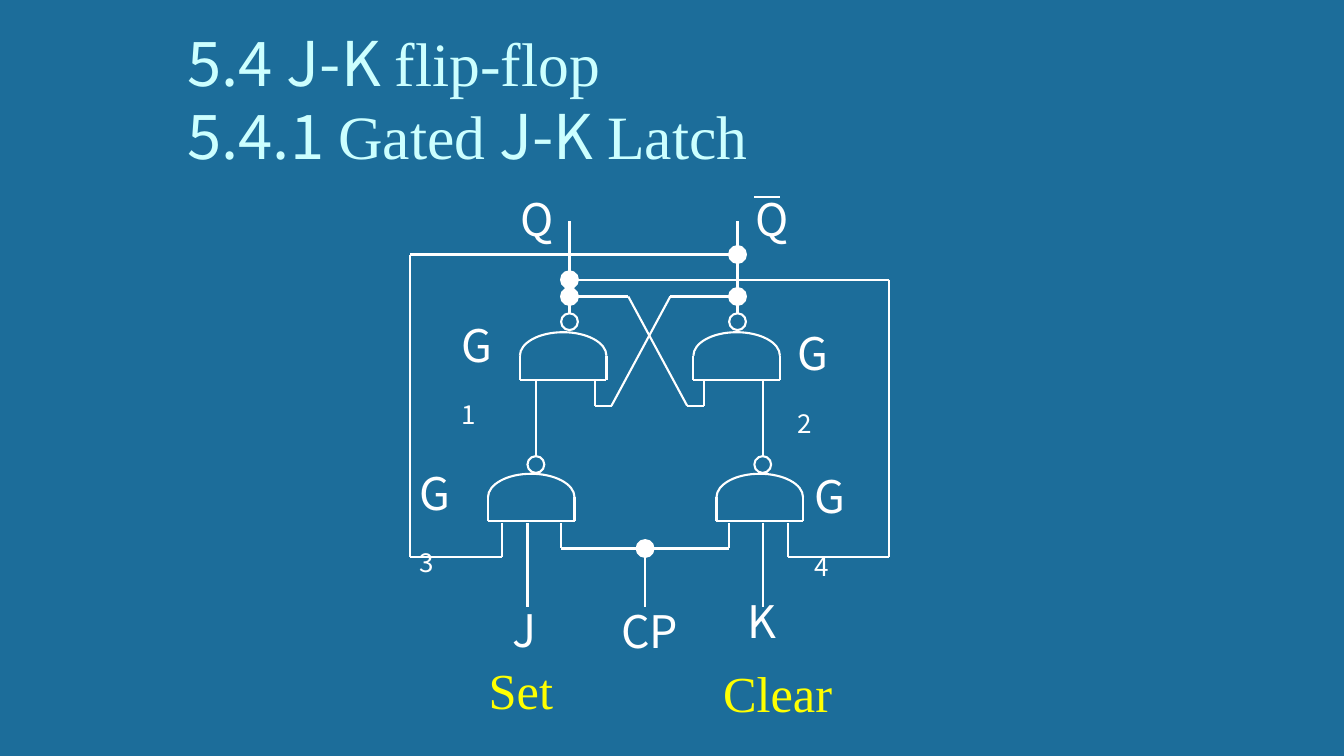
from lxml import etree
from pptx import Presentation
from pptx.dml.color import RGBColor
from pptx.enum.shapes import MSO_CONNECTOR, MSO_SHAPE
from pptx.enum.text import MSO_ANCHOR
from pptx.oxml.ns import qn
from pptx.util import Inches, Pt

BLUE = RGBColor(0x1C, 0x6D, 0x9A)
WHITE = RGBColor(0xFF, 0xFF, 0xFF)
ICE = RGBColor(0xCC, 0xFF, 0xFF)
YELLOW = RGBColor(0xFF, 0xFF, 0x00)
STRAIGHT = MSO_CONNECTOR.STRAIGHT
OVAL = MSO_SHAPE.OVAL
TOP, BOTTOM = MSO_ANCHOR.TOP, MSO_ANCHOR.BOTTOM
SANS, SERIF = "Noto Sans CJK SC", "Times New Roman"

TITLE = [
    [("5.4 J-K ", SANS), ("flip-flop", SERIF)],
    [("5.4.1 ", SANS), ("Gated", SERIF), (" J-K ", SANS), ("Latch", SERIF)],
]
WIRES = {
    "left feedback": [(39, 0), (0, 0), (0, 36), (11, 36), (11, 34)],
    "right feedback": [(19, 3), (57, 3), (57, 36), (45, 36), (45, 34)],
    "cross to right": [(19, 5), (26, 5), (33, 18), (35, 18)],
    "cross to left": [(39, 5), (31, 5), (24, 18), (22, 18)],
    "clock bus": [(18, 35), (38, 35)],
    "clock input": [(28, 35), (28, 42)],
    "set input": [(14, 32), (14, 42)],
    "clear input": [(42, 32), (42, 42)],
    "overbar": [(41, -6.9), (44, -6.9)],
}
JUNCTIONS = [(19, 3), (39, 0), (28, 35), (39, 5), (19, 5)]
GATES = [
    ((19, 8), 11, (13.1, 9.25)),
    ((39, 8), 11, (33.75, 9.25)),
    ((15, 25), 7, (9.3, 26.1)),
    ((42, 25), 7, (36.5, 26.1)),
]
SIGNALS = [("Q", 40, -8), ("Q", 12, -8), ("J", 11, 40.9), ("K", 39, 39.9)]
GATE_NAMES = [("1", 5, 6.9), ("2", 45, 7.9), ("3", 0, 24.5), ("4", 47, 24.9)]
CAPTIONS = [("Set", 8.2, 47.6, 13.2), ("Clear", 36.1, 48, 15.5)]


class Diagram:
    """Draws circuit elements on a slide in twelfth-inch columns and rows."""

    cell = Inches(1) / 12
    left, top = Inches(4.065), Inches(2.525)
    stroke = {"width": Pt(1.5)}
    line_height = 1.19

    def __init__(self, page):
        self.page = page
        page.background.fill.solid()
        page.background.fill.fore_color.rgb = BLUE

    def column(self, number):
        return round(self.left + number * self.cell)

    def row(self, number):
        return round(self.top + number * self.cell)

    def size(self, cells):
        return round(cells * self.cell)

    def apply(self, target, values):
        for name, value in values.items():
            setattr(target, name, value)

    def outline(self, shape):
        shape.line.color.rgb = WHITE
        self.apply(shape.line, self.stroke)

    def wire(self, points):
        for (x1, y1), (x2, y2) in zip(points, points[1:]):
            line = self.page.shapes.add_connector(
                STRAIGHT, self.column(x1), self.row(y1), self.column(x2), self.row(y2))
            self.outline(line)
            etree.SubElement(line._element.spPr, qn("a:effectLst"))

    def circle(self, x, y, filled):
        dot = self.page.shapes.add_shape(
            OVAL, self.column(x - 1), self.row(y - 1), self.size(2), self.size(2))
        dot.shadow.inherit = False
        if filled:
            dot.fill.solid()
            dot.fill.fore_color.rgb = WHITE
        else:
            dot.fill.background()
        self.outline(dot)

    def dome(self, x, y, width, height):
        left = self.column(x + (width - height) / 2)
        top = self.row(y + (height - width) / 2)
        rise, span = self.size(height), self.size(width)
        builder = self.page.shapes.build_freeform(left, top)
        builder.add_line_segments(
            [(left + rise, top + span // 2), (left, top + span)], close=False)
        arc = builder.convert_to_shape()
        curves = [
            [(0.55, 0), (1, 0.22), (1, 0.5)],
            [(1, 0.77), (0.57, 1), (0, 1)],
        ]
        for straight, curve in zip(list(arc._element.iter(qn("a:lnTo"))), curves):
            bend = etree.Element(qn("a:cubicBezTo"))
            for across, along in curve:
                etree.SubElement(bend, qn("a:pt"), x=str(round(across * rise)),
                                 y=str(round(along * span)))
            straight.getparent().replace(straight, bend)
        arc.rotation = 270
        arc.shadow.inherit = False
        arc.fill.background()
        self.outline(arc)

    def gate(self, bubble, output, corner, width=10.3, height=5.65, rise=2.8):
        x, y = bubble
        self.circle(x, y, filled=False)
        self.wire([(x, y - 1), (x, y - 1 - output)])
        for stub in (x - 4, x + 3):
            self.wire([(stub, y + 7), (stub, y + 10)])
        x, y = corner
        self.dome(x, y, width, rise)
        for side in (x, x + width):
            self.wire([(side, y + rise), (side, y + height)])
        self.wire([(x, y + height), (x + width, y + height)])

    def text(self, lines, x, y, width, height, points, color, anchor=TOP):
        box = self.page.shapes.add_textbox(
            self.column(x), self.row(y), self.size(width), self.size(height))
        self.apply(box.text_frame, {"word_wrap": True, "vertical_anchor": anchor})
        para = box.text_frame.paragraphs[0]
        para.line_spacing = Pt(points * self.line_height)
        for number, line in enumerate(lines):
            if number:
                para.add_line_break()
            for words, face in line:
                span = para.add_run()
                span.text = words
                self.apply(span.font, {"name": face, "size": Pt(points)})
                span.font.color.rgb = color
        return box.text_frame

    def gate_name(self, number, x, y):
        frame = self.text([[("G", SANS), (number, SANS)]], x, y, 6.8, 7.7, 32, WHITE)
        frame.margin_top = 0
        para = frame.paragraphs[0]
        para.line_spacing = Pt(42)
        para.runs[1].font._element.set("baseline", "-25000")


def main():
    deck = Presentation()
    deck.slide_width, deck.slide_height = Inches(13.33), Inches(7.5)
    diagram = Diagram(deck.slides.add_slide(deck.slide_layouts[6]))
    diagram.text(TITLE, -27.65, -28.25, 116, 19, 44, ICE, BOTTOM)
    for caption, x, y, width in CAPTIONS:
        diagram.text([[(caption, SERIF)]], x, y, width, 8.4, 36, YELLOW)
    for points in WIRES.values():
        diagram.wire(points)
    for bubble, output, corner in GATES:
        diagram.gate(bubble, output, corner)
    for x, y in JUNCTIONS:
        diagram.circle(x, y, filled=True)
    for name, x, y in SIGNALS:
        diagram.text([[(name, SANS)]], x, y, 5, 7.6, 32, WHITE)
    diagram.text([[("CP", SANS)]], 24, 41, 11, 7.6, 32, WHITE)
    for number, x, y in GATE_NAMES:
        diagram.gate_name(number, x, y)
    deck.save("out.pptx")


if __name__ == "__main__":
    main()
